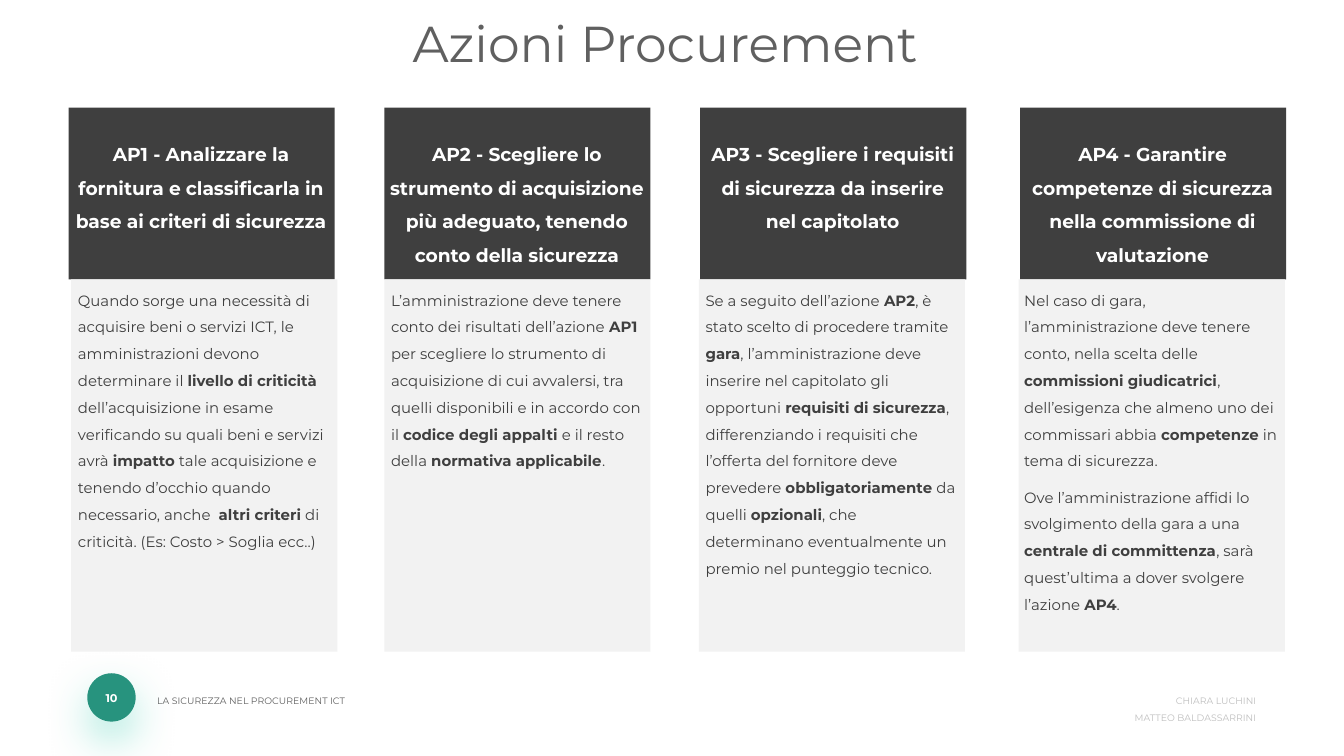
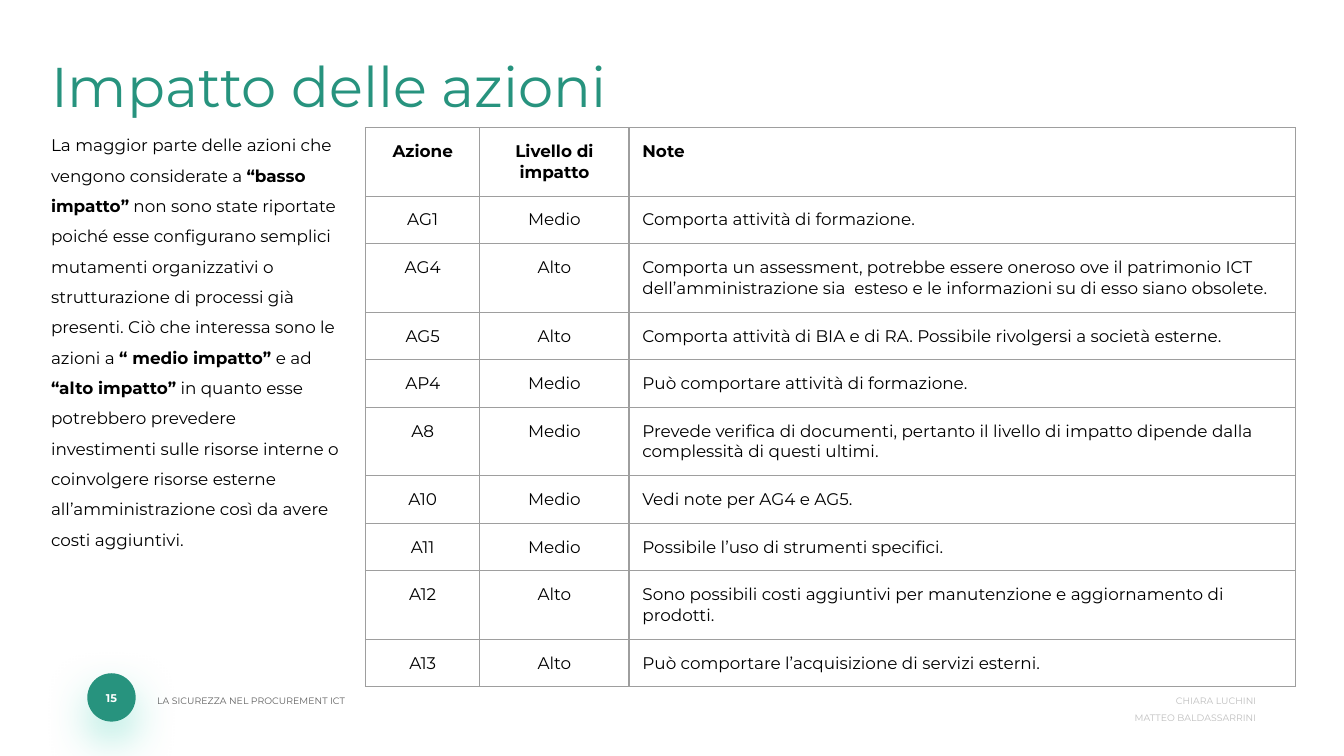
import pptx
import pptx.util
import pptx.oxml
import pptx.oxml.ns
import pptx.dml.color
import pptx.enum.text
import pptx.enum.shapes

Inches, Pt = pptx.util.Inches, pptx.util.Pt
RGB = pptx.dml.color.RGBColor.from_string
ALIGN = pptx.enum.text.PP_ALIGN
KIND = pptx.enum.shapes.MSO_SHAPE
NS = pptx.oxml.ns.nsdecls("a")

# Shared look
FONT = "Montserrat"
HUES = {"green": "27937E", "glow": "78DDCA", "dark": "3F3F3F", "pale": "F2F2F2",
        "gray": "606060", "light": "BFBFBF", "rule": "9E9E9E",
        "black": "000000", "white": "FFFFFF"}
FRAME = {"margin_left": Inches(0.05), "margin_right": Inches(0.05),
         "margin_top": Inches(0.02), "margin_bottom": Inches(0.02),
         "word_wrap": True, "auto_size": pptx.enum.text.MSO_AUTO_SIZE.NONE,
         "vertical_anchor": pptx.enum.text.MSO_ANCHOR.TOP}


def write(frame, paras, size, hue, bold=False, align=ALIGN.LEFT, line=1.0, before=0):
    """Fill a frame with paragraphs; text between ** marks is bold."""
    for n, text in enumerate(paras):
        para = frame.add_paragraph() if n else frame.paragraphs[0]
        look = {"alignment": align, "line_spacing": line, "space_before": Pt(before)}
        for key, val in look.items():
            setattr(para, key, val)
        for i, part in enumerate(text.split("**")):
            if part:
                run = para.add_run()
                run.text = part
                font = {"name": FONT, "size": Pt(size), "bold": bold or i % 2 == 1}
                for key, val in font.items():
                    setattr(run.font, key, val)
                run.font.color.rgb = RGB(HUES[hue])


def label(slide, at, paras, size, hue, holder=None, **look):
    """Place a text box, or move a placeholder, and write in it."""
    box = holder or slide.shapes.add_textbox(0, 0, 0, 0)
    for key, val in zip(("left", "top", "width", "height"), at):
        setattr(box, key, Inches(val))
    for key, val in FRAME.items():
        setattr(box.text_frame, key, val)
    write(box.text_frame, paras, size, hue, **look)


# Deck in 16:9
deck = pptx.Presentation()
deck.slide_width, deck.slide_height = Inches(10), Inches(10 * 9 / 16)
acts = deck.slides.add_slide(deck.slide_layouts[5])
impact = deck.slides.add_slide(deck.slide_layouts[1])

# Footer with page badge on both slides
for slide, page in ((acts, "10"), (impact, "15")):
    label(slide, (1.12, 5.11, 1.9, 0.28), ["LA SICUREZZA NEL PROCUREMENT ICT"],
          5, "gray", line=1.5)
    label(slide, (8.37, 5.11, 1.03, 0.15), ["CHIARA LUCHINI", " MATTEO BALDASSARRINI"],
          5, "light", align=ALIGN.RIGHT, line=1.5)
    badge = slide.shapes.add_shape(KIND.OVAL, *map(Inches, (0.65, 5.01, 0.36, 0.36)))
    badge.fill.solid()
    badge.fill.fore_color.rgb = RGB(HUES["green"])
    badge.line.fill.background()
    badge._element.spPr.append(pptx.oxml.parse_xml(
        f'<a:effectLst {NS}><a:outerShdw blurRad="{Pt(23)}" dist="{Pt(10)}" '
        f'dir="5400000" algn="t" rotWithShape="0"><a:srgbClr val="{HUES["glow"]}">'
        '<a:alpha val="59000"/></a:srgbClr></a:outerShdw></a:effectLst>'))
    label(slide, (0.73, 5.12, 0.2, 0.15), [page], 6, "white", bold=True,
          align=ALIGN.CENTER)

# Slide 1: title and four action cards
label(acts, (3.02, 0.07, 3.97, 0.65), ["Azioni Procurement"], 27, "gray",
      holder=acts.shapes.title)

# Head left, body left, text left, text width, head, body
CARDS = [
    (0.51, 0.53, 0.53, 1.97,
     "AP1 - Analizzare la fornitura e classificarla in base ai criteri di sicurezza",
     ["Quando sorge una necessità di acquisire beni o servizi ICT, le amministrazioni "
      "devono determinare il **livello di criticità** dell’acquisizione in esame "
      "verificando su quali beni e servizi avrà **impatto** tale acquisizione e tenendo "
      "d’occhio quando necessario, anche  **altri criteri** di criticità. "
      "(Es: Costo > Soglia ecc..)"]),
    (2.86, 2.86, 2.86, 1.97,
     "AP2 - Scegliere lo strumento di acquisizione più adeguato, tenendo conto della "
     "sicurezza",
     ["L’amministrazione deve tenere conto dei risultati dell’azione **AP1** per "
      "scegliere lo strumento di acquisizione di cui avvalersi, tra quelli disponibili "
      "e in accordo con il **codice degli appalti** e il resto della "
      "**normativa applicabile**."]),
    (5.21, 5.2, 5.2, 1.97,
     "AP3 - Scegliere i requisiti di sicurezza da inserire nel capitolato",
     ["Se a seguito dell’azione **AP2**, è stato scelto di procedere tramite **gara**, "
      "l’amministrazione deve inserire nel capitolato gli opportuni "
      "**requisiti di sicurezza**, differenziando i requisiti che l’offerta del "
      "fornitore deve prevedere **obbligatoriamente** da quelli **opzionali**, che "
      "determinano eventualmente un premio nel punteggio tecnico."]),
    (7.59, 7.58, 7.57, 2.02,
     "AP4 - Garantire competenze di sicurezza nella commissione di valutazione",
     ["Nel caso di gara, l’amministrazione deve tenere conto, nella scelta delle "
      "**commissioni giudicatrici**, dell’esigenza che almeno uno dei commissari abbia "
      "**competenze** in tema di sicurezza. ",
      "Ove l’amministrazione affidi lo svolgimento della gara a una "
      "**centrale di committenza**, sarà quest’ultima a dover svolgere l’azione "
      "**AP4**."]),
]
for left, low, inner, width, head, body in CARDS:
    for x, y, tall, hue in ((left, 0.8, 1.28, "dark"), (low, 2.08, 2.77, "pale")):
        card = acts.shapes.add_shape(KIND.RECTANGLE, *map(Inches, (x, y, 1.98, tall)))
        card.shadow.inherit = False
        card.fill.solid()
        card.fill.fore_color.rgb = RGB(HUES[hue])
        card.line.fill.background()
    label(acts, (left - 0.02, 0.96, 2.01, 0.97), [head], 10, "white", bold=True,
          align=ALIGN.CENTER, line=1.5)
    label(acts, (inner, 2.08, width, 2.77), body, 8, "dark", line=1.5, before=5)

# Slide 2: title and side text
label(impact, (0.33, 0.25, 7.6, 0.65), ["Impatto delle azioni"], 30, "green",
      holder=impact.shapes.title, line=1.23)
side = impact.placeholders[1]
label(impact, (0.33, 0.91, 2.26, 4.05),
      ["La maggior parte delle azioni che vengono considerate a **“basso impatto”** non "
       "sono state riportate poiché esse configurano semplici mutamenti organizzativi o "
       "strutturazione di processi già presenti. Ciò che interessa sono le azioni a "
       "**“ medio impatto” **e ad **“alto impatto”** in quanto esse potrebbero prevedere "
       "investimenti sulle risorse interne o coinvolgere risorse esterne "
       "all’amministrazione così da avere costi aggiuntivi."],
      9, "black", holder=side, line=1.5, before=6)
props = side.text_frame.paragraphs[0]._p.get_or_add_pPr()
props.set("marL", "0")
props.set("indent", "0")
props.append(pptx.oxml.parse_xml(f"<a:buNone {NS}/>"))

# Slide 2: impact table
ROWS = [
    ("Azione", "Livello di impatto", "Note"),
    ("AG1", "Medio", "Comporta attività di formazione."),
    ("AG4", "Alto", "Comporta un assessment, potrebbe essere oneroso ove il patrimonio "
     "ICT dell’amministrazione sia  esteso e le informazioni su di esso siano obsolete."),
    ("AG5", "Alto", "Comporta attività di BIA e di RA. Possibile rivolgersi a società "
     "esterne."),
    ("AP4", "Medio", "Può comportare attività di formazione."),
    ("A8", "Medio", "Prevede verifica di documenti, pertanto il livello di impatto "
     "dipende dalla complessità di questi ultimi."),
    ("A10", "Medio", "Vedi note per AG4 e AG5."),
    ("A11", "Medio", "Possibile l’uso di strumenti specifici."),
    ("A12", "Alto", "Sono possibili costi aggiuntivi per manutenzione e aggiornamento di "
     "prodotti."),
    ("A13", "Alto", "Può comportare l’acquisizione di servizi esterni."),
]
COLS = (0.85, 1.11, 4.96)
DOUBLE = (0, 2, 5, 8)  # rows with two lines of text
grid = impact.shapes.add_table(len(ROWS), len(COLS),
                               *map(Inches, (2.72, 0.95, sum(COLS), 4.14))).table
grid.first_row = grid.horz_banding = False
for col, width in zip(grid.columns, COLS):
    col.width = Inches(width)
for r, row in enumerate(ROWS):
    grid.rows[r].height = Inches(0.51 if r in DOUBLE else 0.35)
    for c, text in enumerate(row):
        cell = grid.cell(r, c)
        for edge in ("left", "right", "top", "bottom"):
            setattr(cell, "margin_" + edge, Inches(0.1))
        write(cell.text_frame, [text], 9, "black", bold=r == 0,
              align=ALIGN.LEFT if c == 2 else ALIGN.CENTER)
        for edge in "LRTB":
            cell._tc.get_or_add_tcPr().append(pptx.oxml.parse_xml(
                f'<a:ln{edge} {NS} w="{Pt(0.75)}"><a:solidFill>'
                f'<a:srgbClr val="{HUES["rule"]}"/></a:solidFill></a:ln{edge}>'))
        cell.fill.background()

deck.save("out.pptx")
